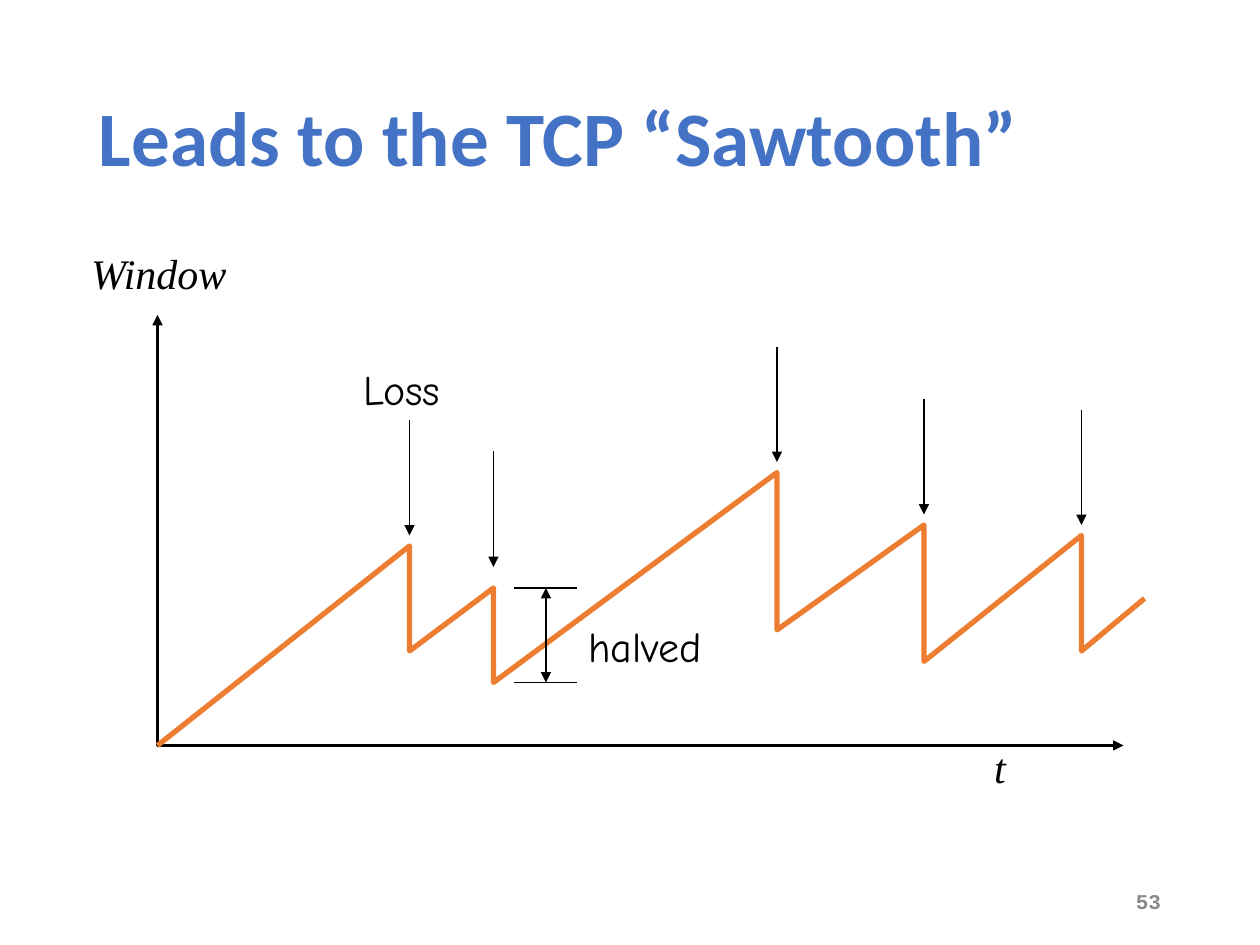
from dataclasses import dataclass

from lxml import etree
from pptx import Presentation
from pptx.dml.color import RGBColor
from pptx.enum.shapes import MSO_CONNECTOR
from pptx.enum.text import MSO_ANCHOR, MSO_AUTO_SIZE, PP_ALIGN
from pptx.oxml.ns import qn
from pptx.util import Inches, Pt

STRAIGHT = MSO_CONNECTOR.STRAIGHT
TOP, MIDDLE = MSO_ANCHOR.TOP, MSO_ANCHOR.MIDDLE
LEFT, RIGHT = PP_ALIGN.LEFT, PP_ALIGN.RIGHT
FIT_SHAPE, FIT_NONE = MSO_AUTO_SIZE.SHAPE_TO_FIT_TEXT, MSO_AUTO_SIZE.NONE

BLACK = RGBColor(0x00, 0x00, 0x00)
BLUE = RGBColor(0x44, 0x72, 0xC4)
GRAY = RGBColor(0x89, 0x89, 0x89)
ORANGE = RGBColor(0xED, 0x7D, 0x31)

# The slide is a grid of 120 columns by 90 rows, twelve cells to the inch
COLUMNS, ROWS = 120, 90
CELL = Inches(1) // 12

Point = tuple[float, float]


@dataclass
class Label:
    text: str
    column: float
    row: float
    columns: float
    rows: float
    font: str
    size: float = 24
    color: RGBColor = BLACK
    bold: bool = False
    italic: bool = False
    wrap: bool = False
    anchor: MSO_ANCHOR = TOP
    align: PP_ALIGN = LEFT
    spacing: float = 1.0


@dataclass
class Loss:
    column: float
    peak: float
    trough: float
    gap: float = 1


def cells(count: float) -> int:
    return round(count * CELL)


def add_label(page, label: Label) -> None:
    box = page.shapes.add_textbox(cells(label.column), cells(label.row),
                                  cells(label.columns), cells(label.rows))
    frame = box.text_frame
    frame.text = label.text
    frame.word_wrap = label.wrap
    frame.auto_size = FIT_NONE if label.wrap else FIT_SHAPE
    frame.vertical_anchor = label.anchor
    para = frame.paragraphs[0]
    para.alignment = label.align
    para.line_spacing = label.spacing
    font = para.runs[0].font
    font.name, font.size = label.font, Pt(label.size)
    font.bold, font.italic = label.bold, label.italic
    font.color.rgb = label.color


def style_line(line, color: RGBColor, width: float, ends: tuple[str, ...]) -> None:
    line.color.rgb = color
    line.width = Pt(width)
    outline = line._get_or_add_ln()
    for end in ends:
        etree.SubElement(outline, qn(f"a:{end}"), type="triangle")


def add_line(page, start: Point, end: Point, ends: tuple[str, ...] = ()) -> None:
    line = page.shapes.add_connector(STRAIGHT, *map(cells, start + end))
    style_line(line.line, BLACK, 0.75, ends)
    etree.SubElement(line._element.spPr, qn("a:effectLst"))


def add_path(page, points: list[Point], color: RGBColor, width: float,
             ends: tuple[str, ...] = ()) -> None:
    builder = page.shapes.build_freeform(*points[0], scale=CELL)
    builder.add_line_segments(points[1:], close=False)
    path = builder.convert_to_shape()
    path.fill.background()
    path.shadow.inherit = False
    style_line(path.line, color, width, ends)


ORIGIN = (15, 71)
LAST_POINT = (109, 57)
LOSSES = [Loss(39, 52, 62), Loss(47, 56, 65, gap=2), Loss(74, 45, 60),
          Loss(88, 50, 63), Loss(103, 51, 62)]
ARROW_ROWS = 11
BOTH_ENDS = ("headEnd", "tailEnd")

LABELS = [
    Label("Leads to the TCP “Sawtooth”", 8.25, 4.8, 103.5, 17.4, "Calibri", 44,
          BLUE, bold=True, wrap=True, anchor=MIDDLE, spacing=0.9),
    Label("53", 84.75, 83.4, 27, 4.8, "Courier New", 12, GRAY, bold=True,
          wrap=True, anchor=MIDDLE, align=RIGHT),
    Label("t", 93.5, 70, 3.5, 6, "Times New Roman", italic=True),
    Label("Window", 7.5, 23, 15.5, 6, "Times New Roman", italic=True),
    Label("halved", 54.85, 58.5, 14.4, 6, "Comic Neue"),
    Label("Loss", 33.4, 34, 10.5, 6, "Comic Neue"),
]


def main() -> None:
    deck = Presentation()
    deck.slide_width, deck.slide_height = cells(COLUMNS), cells(ROWS)
    page = deck.slides.add_slide(deck.slide_layouts[6])

    # Axes
    add_path(page, [(15, 30), ORIGIN, (107, 71)], BLACK, 1.5, BOTH_ENDS)

    # Window size: climbs to each peak, then drops straight down
    drops = [(loss.column, row) for loss in LOSSES
             for row in (loss.peak, loss.trough)]
    add_path(page, [ORIGIN, *drops, LAST_POINT], ORANGE, 3)

    # Bracket for the halved window, beside the second drop
    halved = LOSSES[1]
    left, right = halved.column + 2, halved.column + 8
    middle = (left + right) / 2
    for row in (halved.trough, halved.peak):
        add_line(page, (left, row), (right, row))
    add_line(page, (middle, halved.peak), (middle, halved.trough), BOTH_ENDS)

    # Loss arrows above the peaks
    for loss in LOSSES:
        tip = loss.peak - loss.gap
        add_line(page, (loss.column, tip - ARROW_ROWS), (loss.column, tip),
                 ("tailEnd",))

    # Title, page number and labels
    for label in LABELS:
        add_label(page, label)

    deck.save("out.pptx")


if __name__ == "__main__":
    main()
